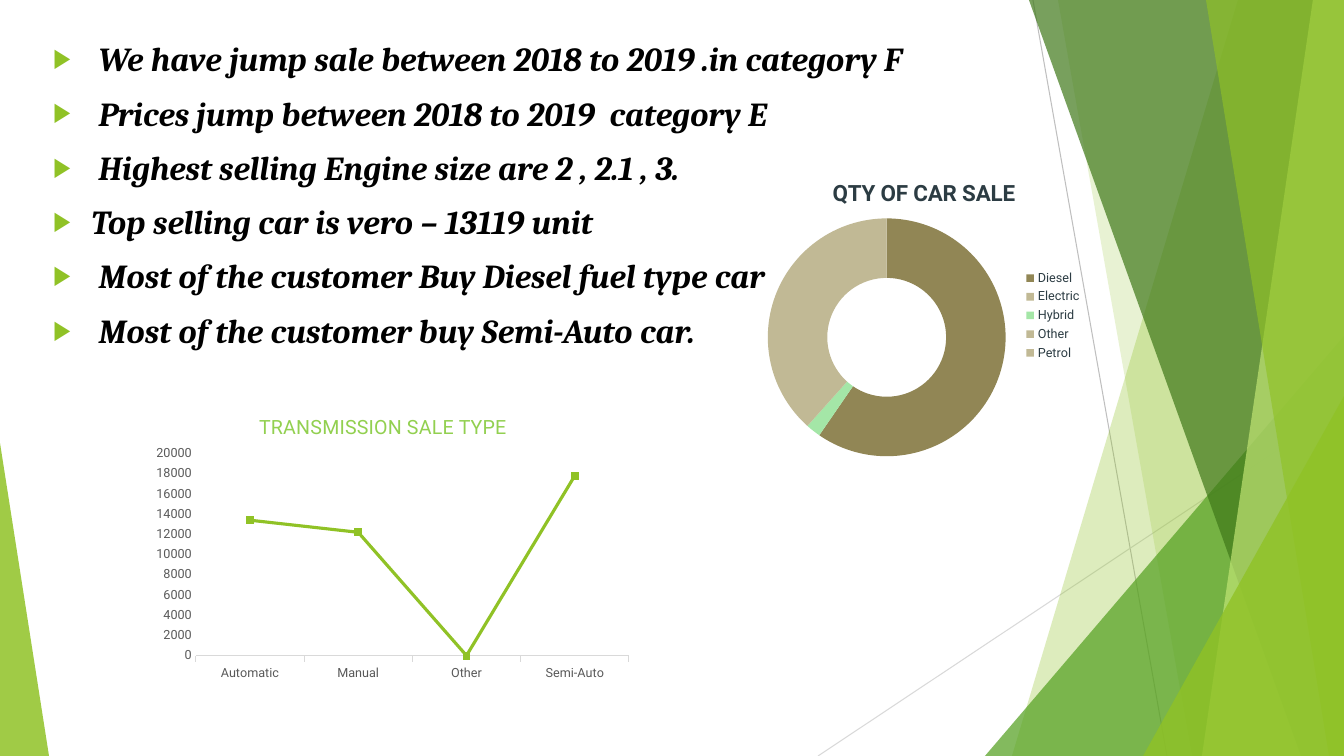
from lxml import etree
from pptx import Presentation
from pptx.chart.data import CategoryChartData
from pptx.dml.color import RGBColor
from pptx.enum.chart import XL_CHART_TYPE, XL_LEGEND_POSITION, XL_TICK_MARK
from pptx.enum.shapes import MSO_CONNECTOR, MSO_SHAPE
from pptx.enum.text import MSO_ANCHOR, MSO_AUTO_SIZE, PP_ALIGN
from pptx.oxml import parse_xml
from pptx.oxml.ns import nsdecls, qn
from pptx.util import Emu, Pt

DOUGHNUT, LINE = XL_CHART_TYPE.DOUGHNUT, XL_CHART_TYPE.LINE
TRIANGLE, STRAIGHT = MSO_SHAPE.ISOSCELES_TRIANGLE, MSO_CONNECTOR.STRAIGHT
TICK_OUT, TICK_NONE = XL_TICK_MARK.OUTSIDE, XL_TICK_MARK.NONE

LIME = RGBColor(0x90, 0xC2, 0x26)
GREEN = RGBColor(0x54, 0xA0, 0x21)
FOREST = RGBColor(0x3F, 0x78, 0x19)
PALE_LIME = RGBColor(0xC0, 0xE4, 0x74)
TITLE_LIME = RGBColor(0x92, 0xD0, 0x50)
OLIVE = RGBColor(0x91, 0x86, 0x55)
SAND = RGBColor(0xC1, 0xB9, 0x95)
MINT = RGBColor(0xA4, 0xE6, 0xA7)
SLATE = RGBColor(0x2C, 0x3C, 0x43)
GREY = RGBColor(0x59, 0x59, 0x59)
MID_GREY = RGBColor(0xBF, 0xBF, 0xBF)
LIGHT_GREY = RGBColor(0xD9, 0xD9, 0xD9)
BLACK = RGBColor(0, 0, 0)

# Content; lengths in px
W, H = 1344, 756
FINDINGS = [
    " We have jump sale between 2018 to 2019 .in category F",
    " Prices jump between 2018 to 2019  category E",
    " Highest selling Engine size are 2 , 2.1 , 3.",
    "Top selling car is vero – 13119 unit",
    " Most of the customer Buy Diesel fuel type car",
    " Most of the customer buy Semi-Auto car.",
]
BODY_BOX = (43, 33, 1159, 652)
FUEL = {"Diesel": (59, OLIVE), "Electric": (0, SAND), "Hybrid": (2, MINT),
        "Other": (0, SAND), "Petrol": (38, SAND)}
TRANSMISSION = {"Automatic": 13400, "Manual": 12200, "Other": 0,
                "Semi-Auto": 17800}
FUEL_CHART = dict(kind=DOUGHNUT, box=(750, 159, 342, 313),
                  plot=(767, 219, 238, 239), title="QTY OF CAR SALE",
                  title_at=(829, 175),
                  title_font=dict(size=Pt(16), bold=True, color=SLATE))
SALE_CHART = dict(kind=LINE, box=(141, 392, 498, 293),
                  plot=(196, 453, 434, 202), title="TRANSMISSION SALE TYPE",
                  title_at=(256, 409),
                  title_font=dict(size=Pt(14), bold=False, color=TITLE_LIME))

# Decoration: a band is (top x, bottom x), a triangle is (left, top, width, apex)
RAYS = [((1033, 0), (1167, H), MID_GREY), ((W, 406), (818, H), LIGHT_GREY)]
FACETS = [
    ((1238, 1012), LIME, 30),
    ((1058, 1192), LIME, 20),
    ((985, 336, 359, 1), GREEN, 72),
    ((1029, 1301), FOREST, 70),
    ((1313, 1202), PALE_LIME, 70),
    ((1206, 1329), LIME, 65),
    ((1143, 396, 201, 1), LIME, 80),
    ((0, 443, 49, 0), LIME, 85),
]

SCALE = 914400 / 100.8


def px(*lengths):
    return [Emu(round(n * SCALE)) for n in lengths]


def set_font(font, **values):
    for name, value in values.items():
        if name == "color":
            font.color.rgb = value
        else:
            setattr(font, name, value)


def manual_layout(box, area, inner=False):
    """Layout element for an area given as x, y or x, y, w, h in slide px."""
    left, top, width, height = box
    parts = [(area[0] - left) / width, (area[1] - top) / height]
    if inner:
        parts += [area[2] / width, area[3] / height]
    xml = '<c:layoutTarget val="inner"/>' if inner else ""
    xml += '<c:xMode val="edge"/><c:yMode val="edge"/>'
    xml += "".join(f'<c:{n} val="{v:.2f}"/>' for n, v in zip("xywh", parts))
    return parse_xml(f'<c:layout {nsdecls("c")}><c:manualLayout>{xml}'
                     '</c:manualLayout></c:layout>')


def place(parent, layout, index):
    for old in parent.findall(qn("c:layout")):
        parent.remove(old)
    parent.insert(index, layout)


def add_chart(kind, box, plot, title, title_at, title_font, values):
    data = CategoryChartData(number_format="General")
    data.categories = list(values)
    data.add_series("Series 1", list(values.values()))
    chart = s.shapes.add_chart(kind, *px(*box), data).chart
    set_font(chart.font, name="Roboto", size=Pt(10), color=BLACK)
    chart.has_legend = False
    tf = chart.chart_title.text_frame
    tf.text = title
    set_font(tf.paragraphs[0].runs[0].font, name="Roboto", **title_font)
    chart.chart_title.include_in_layout = False
    place(chart.chart_title.element if hasattr(chart.chart_title, "element")
          else chart.element.find(".//" + qn("c:title")),
          manual_layout(box, title_at), 1)
    place(chart.element.find(".//" + qn("c:plotArea")),
          manual_layout(box, plot, inner=True), 0)
    chart.plots[0].vary_by_categories = kind == DOUGHNUT
    return chart


prs = Presentation()
prs.slide_width, prs.slide_height = px(W, H)
s = prs.slides.add_slide(prs.slide_layouts[1])
title = s.shapes.title.element
title.getparent().remove(title)
body = s.placeholders[1]

# Thin rays
for start, end, color in RAYS:
    ray = s.shapes.add_connector(STRAIGHT, *px(*start, *end))
    ray.line.color.rgb, ray.line.width = color, Pt(0.75)
    etree.SubElement(ray.element.spPr, qn("a:effectLst"))

# Translucent facets
for geometry, color, alpha in FACETS:
    if len(geometry) == 2:
        top_x, bottom_x = geometry
        fb = s.shapes.build_freeform(top_x, 0, scale=SCALE)
        fb.add_line_segments([(W, 0), (W, H), (bottom_x, H)], close=True)
        sp = fb.convert_to_shape()
    else:
        left, top, width, apex = geometry
        sp = s.shapes.add_shape(TRIANGLE, *px(left, top, width, H - top))
        sp.adjustments[0] = apex
    sp.shadow.inherit = False
    sp.line.fill.background()
    sp.fill.solid()
    sp.fill.fore_color.rgb = color
    clr = sp.element.spPr.find(".//" + qn("a:srgbClr"))
    etree.SubElement(clr, qn("a:alpha"), val=str(alpha * 1000))

# Findings, in front of the decoration
body.element.getparent().append(body.element)
body.left, body.top, body.width, body.height = px(*BODY_BOX)
tf = body.text_frame
tf.word_wrap, tf.auto_size = True, MSO_AUTO_SIZE.NONE
tf.vertical_anchor = MSO_ANCHOR.TOP
indent = px(38)[0]
for i, text in enumerate(FINDINGS):
    p = tf.paragraphs[0] if i == 0 else tf.add_paragraph()
    p.alignment, p.space_before = PP_ALIGN.LEFT, Pt(10)
    r = p.add_run()
    r.text = text
    set_font(r.font, name="Cambria", size=Pt(24), bold=True, italic=True,
             color=BLACK)
    pPr = p._p.get_or_add_pPr()
    pPr.set("marL", str(indent))
    pPr.set("indent", str(-indent))
    bu_clr = etree.SubElement(pPr, qn("a:buClr"))
    etree.SubElement(bu_clr, qn("a:srgbClr"), val=str(LIME))
    etree.SubElement(pPr, qn("a:buSzPct"), val="80000")
    etree.SubElement(pPr, qn("a:buFont"), typeface="Arial")
    etree.SubElement(pPr, qn("a:buChar"), char="▶")

# Fuel type doughnut
chart = add_chart(values={k: v for k, (v, _) in FUEL.items()}, **FUEL_CHART)
for i, (_, color) in enumerate(FUEL.values()):
    point = chart.plots[0].series[0].points[i].format
    point.fill.solid()
    point.fill.fore_color.rgb = color
    point.line.fill.background()
chart.element.find(".//" + qn("c:holeSize")).set("val", "75")
chart.has_legend = True
chart.legend.position = XL_LEGEND_POSITION.RIGHT
chart.legend.include_in_layout = False
set_font(chart.legend.font, name="Roboto", size=Pt(9), color=SLATE)

# Transmission line
chart = add_chart(values=TRANSMISSION, **SALE_CHART)
series = chart.plots[0].series[0]
series.smooth = False
series.marker.style = None
series.format.line.color.rgb, series.format.line.width = LIME, Pt(2.25)
for axis, tick in ((chart.category_axis, TICK_OUT), (chart.value_axis, TICK_NONE)):
    axis.major_tick_mark, axis.minor_tick_mark = tick, TICK_NONE
    axis.has_major_gridlines = False
    set_font(axis.tick_labels.font, name="Roboto", size=Pt(9), color=GREY)
line = chart.category_axis.format.line
line.color.rgb, line.width = LIGHT_GREY, Pt(0.75)
axis = chart.value_axis
axis.format.line.fill.background()
axis.minimum_scale, axis.maximum_scale, axis.major_unit = 0, 20000, 2000

prs.save("out.pptx")
